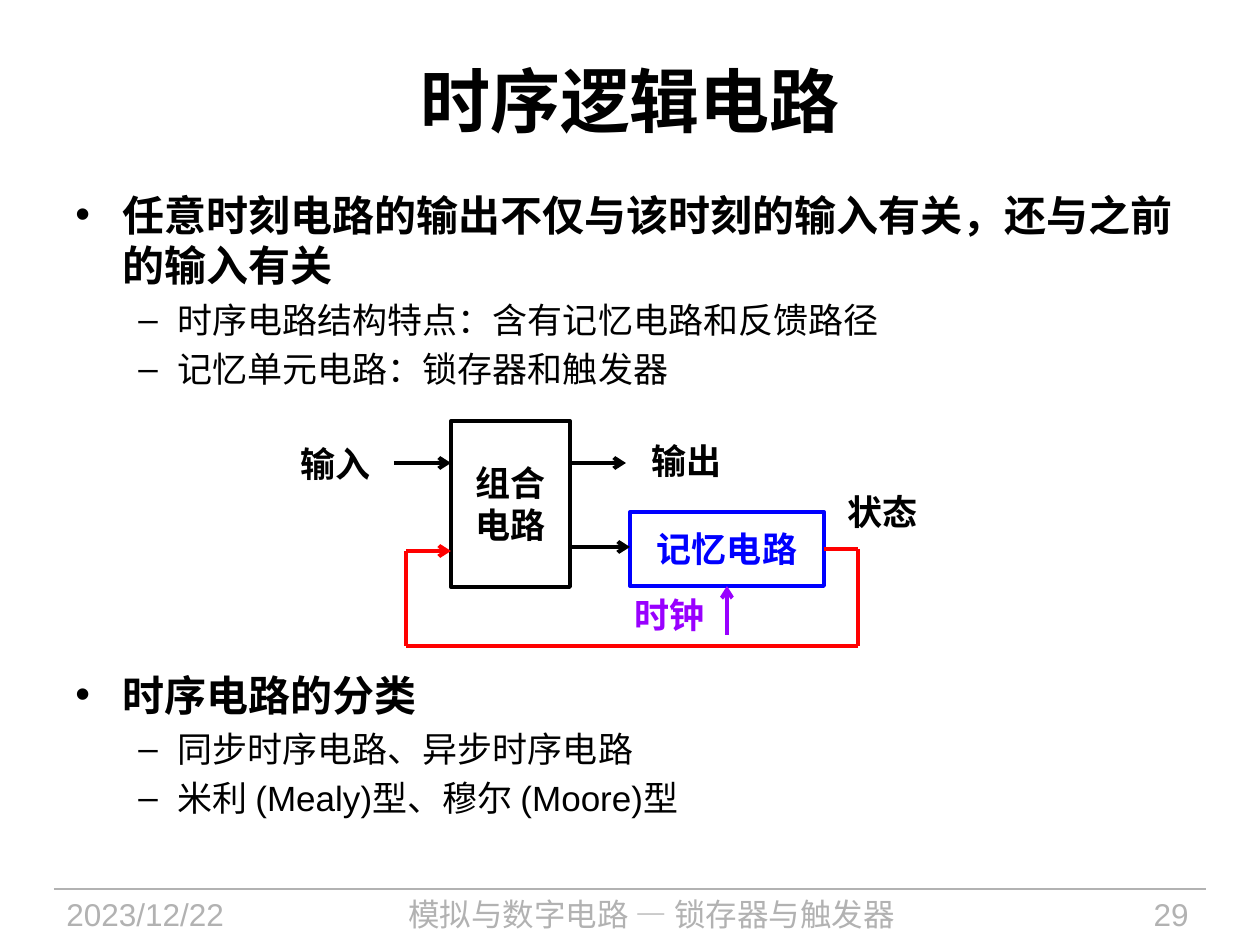
from lxml.etree import SubElement
from pptx import Presentation
from pptx.dml.color import RGBColor
from pptx.enum.shapes import MSO_CONNECTOR, MSO_SHAPE
from pptx.enum.text import MSO_ANCHOR as Anchor, PP_ALIGN as Align
from pptx.oxml.ns import qn
from pptx.util import Emu, Pt

PX = 914400 // 126
COLORS = {"black": "000000", "blue": "0000FF", "red": "FF0000",
          "purple": "9900FF", "gray": "B2B2B2"}
CJK_FONT = "Noto Sans CJK SC"


def write(shape, text, size, color="black", bold=False, font="Arial",
          align=Align.CENTER, anchor=Anchor.MIDDLE, inset=True, wrap=True):
    frame = shape.text_frame
    frame.text = text
    frame.word_wrap = wrap
    frame.vertical_anchor = anchor
    if not inset:
        frame.margin_left = frame.margin_right = 0
        frame.margin_top = frame.margin_bottom = 0
    for paragraph in frame.paragraphs:
        paragraph.alignment = align
        for run in paragraph.runs:
            run.font.size = Pt(size)
            run.font.bold = bold
            run.font.name = font
            run.font.color.rgb = RGBColor.from_string(COLORS[color])
            SubElement(run.font._element, qn("a:ea"), typeface=CJK_FONT)


def add_line(start, end, color, arrow=False, width=2.25):
    points = [Emu(value * PX) for value in (*start, *end)]
    line = slide.shapes.add_connector(MSO_CONNECTOR.STRAIGHT, *points)
    line.line.color.rgb = RGBColor.from_string(COLORS[color])
    line.line.width = Pt(width)
    properties = line._element.spPr
    if arrow:
        SubElement(properties.find(qn("a:ln")), qn("a:tailEnd"), type="arrow")
    SubElement(properties, qn("a:effectLst"))
    return line


presentation = Presentation()
presentation.slide_width = Emu(1260 * PX)
presentation.slide_height = Emu(945 * PX)
slide = presentation.slides.add_slide(presentation.slide_layouts[6])

# Footer
add_line((54, 889), (1206, 889), "gray", width=0.75)
for text, left, width, font, align in [
    ("2023/12/22", 54, 237, "Arial", Align.LEFT),
    ("模拟与数字电路 — 锁存器与触发器", 314, 675, CJK_FONT, Align.CENTER),
    ("29", 1033, 168, "Arial", Align.RIGHT),
]:
    shape = slide.shapes.add_textbox(left * PX, 889 * PX, width * PX, 56 * PX)
    write(shape, text, 18, "gray", font=font, align=align, anchor=Anchor.TOP)

# Title
shape = slide.shapes.add_textbox(63 * PX, 21 * PX, 1134 * PX, 158 * PX)
write(shape, "时序逻辑电路", 40, bold=True)

# Bullet lists above and below the diagram
for top, height, lines in [
    (183, 215, ["任意时刻电路的输出不仅与该时刻的输入有关，还与之前的输入有关",
                "时序电路结构特点：含有记忆电路和反馈路径",
                "记忆单元电路：锁存器和触发器"]),
    (663, 215, ["时序电路的分类",
                "同步时序电路、异步时序电路",
                "米利 (Mealy)型、穆尔 (Moore)型"]),
]:
    shape = slide.shapes.add_textbox(63 * PX, top * PX, 1133 * PX, height * PX)
    write(shape, "\n".join(lines), 20, align=Align.LEFT, anchor=Anchor.TOP)
    for index, paragraph in enumerate(shape.text_frame.paragraphs):
        level = min(index, 1)
        size = (24, 20)[level]
        paragraph.level = level
        paragraph.line_spacing = Pt(size * 1.2)
        paragraph.space_after = Pt(size * 0.2)
        properties = paragraph._element.get_or_add_pPr()
        properties.set("marL", str((47, 102)[level] * PX))
        properties.set("indent", str((-47, -39)[level] * PX))
        SubElement(properties, qn("a:buFont"), typeface="Arial")
        SubElement(properties, qn("a:buChar"), char="•–"[level])
        for run in paragraph.runs:
            run.font.size = Pt(size)
            run.font.bold = level == 0

# Circuit blocks
blocks = {}
for name, text, left, top, width, height, color in [
    ("logic", "组合\n电路", 451, 421, 119, 166, "black"),
    ("memory", "记忆电路", 630, 512, 194, 74, "blue"),
]:
    shape = slide.shapes.add_shape(MSO_SHAPE.RECTANGLE, left * PX, top * PX,
                                   width * PX, height * PX)
    shape.shadow.inherit = False
    shape.fill.background()
    shape.line.color.rgb = RGBColor.from_string(COLORS[color])
    shape.line.width = Pt(2.25)
    write(shape, text, 20, color, bold=True, inset=False, wrap=False)
    for paragraph in shape.text_frame.paragraphs:
        paragraph.line_spacing = Pt(24)
    blocks[name] = shape

# Signal arrows
add_line((394, 463), (451, 463), "black", arrow=True)
add_line((570, 463), (626, 463), "black", arrow=True)
add_line((570, 547), (630, 547), "black", arrow=True)
clock = add_line((727, 635), (727, 586), "purple", arrow=True)
clock.end_connect(blocks["memory"], 2)

# Feedback path from the memory block back to the logic block
feedback = [(824, 549), (858, 549), (858, 646), (406, 646), (406, 551), (451, 551)]
segments = [add_line(start, end, "red", arrow=end == feedback[-1])
            for start, end in zip(feedback, feedback[1:])]
segments[0].begin_connect(blocks["memory"], 3)

# Signal labels
for text, left, top, width, height, color in [
    ("输入", 273, 446, 125, 34, "black"),
    ("输出", 626, 444, 121, 34, "black"),
    ("状态", 822, 490, 121, 43, "black"),
    ("时钟", 619, 597, 102, 34, "purple"),
]:
    shape = slide.shapes.add_textbox(left * PX, top * PX, width * PX, height * PX)
    write(shape, text, 20, color, bold=True, font="Times New Roman", inset=False)

presentation.save("out.pptx")
